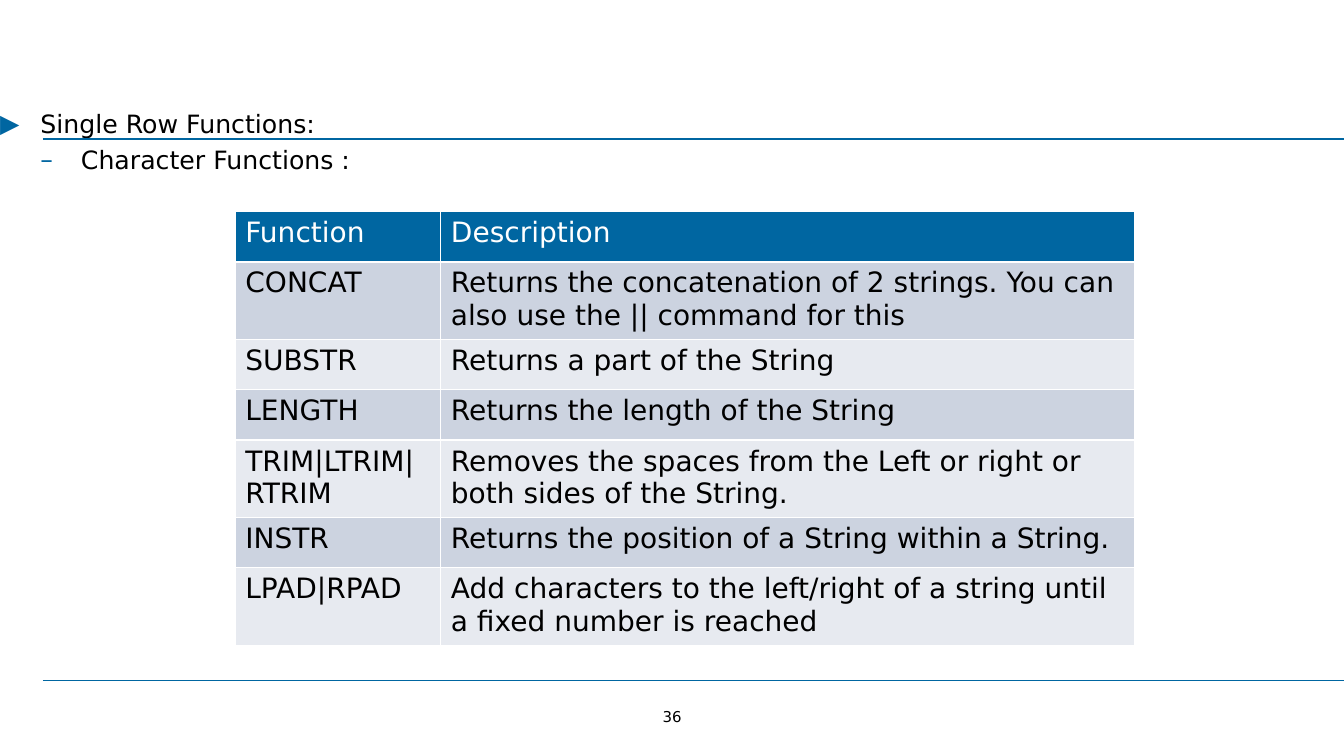
import pptx
import pptx.dml.color
import pptx.enum.shapes
import pptx.enum.text
import pptx.oxml
import pptx.oxml.ns
import pptx.util

Cm = pptx.util.Cm
Pt = pptx.util.Pt
RGBColor = pptx.dml.color.RGBColor
ALIGN = pptx.enum.text.PP_ALIGN
ANCHOR = pptx.enum.text.MSO_ANCHOR

BLUE = RGBColor(0x00, 0x66, 0xA1)
BLACK = RGBColor(0x00, 0x00, 0x00)
WHITE = RGBColor(0xFF, 0xFF, 0xFF)
BAND_DARK = RGBColor(0xCC, 0xD3, 0xE0)
BAND_LIGHT = RGBColor(0xE7, 0xEA, 0xF0)
FONT = "DejaVu Sans"


def add_text(p, text, size, color=BLACK, align=ALIGN.LEFT, after=0):
    p.alignment = align
    p.space_before = Pt(0)
    p.space_after = Pt(after)
    r = p.add_run()
    r.text = text
    r.font.name = FONT
    r.font.size = Pt(size)
    r.font.bold = False
    r.font.color.rgb = color


def add_bullet(p, char, indent):
    """Give a paragraph a blue bullet that hangs to the left of its text."""
    pPr = p._p.get_or_add_pPr()
    pPr.set("marL", str(indent * (p.level + 1)))
    pPr.set("indent", str(-indent))
    ns = pptx.oxml.ns.nsdecls("a")
    for xml in (
        f'<a:buClr {ns}><a:srgbClr val="{BLUE}"/></a:buClr>',
        f'<a:buFont {ns} typeface="{FONT}"/>',
        f'<a:buChar {ns} char="{char}"/>',
    ):
        pPr.append(pptx.oxml.parse_xml(xml))


prs = pptx.Presentation()
prs.slide_width = Cm(33.87)
prs.slide_height = Cm(19.05)
s = prs.slides.add_slide(prs.slide_layouts[1])
title = s.shapes.title
title._element.getparent().remove(title._element)

# Rules above and below the content
for y in (3.51, 17.15):
    rule = s.shapes.add_connector(
        pptx.enum.shapes.MSO_CONNECTOR.STRAIGHT, Cm(1.08), Cm(y), Cm(33.87), Cm(y))
    rule.line.color.rgb = BLUE
    rule.line.width = Pt(1.25)
    rule._element.spPr.append(
        pptx.oxml.parse_xml(f'<a:effectLst {pptx.oxml.ns.nsdecls("a")}/>'))

# Slide number
number = s.shapes.add_textbox(Cm(16.61), Cm(17.83), Cm(0.66), Cm(0.46))
tf = number.text_frame
tf.margin_left = tf.margin_top = tf.margin_right = tf.margin_bottom = 0
tf.word_wrap = False
tf.vertical_anchor = ANCHOR.MIDDLE
add_text(tf.paragraphs[0], "36", 10.7, align=ALIGN.CENTER)

# Outline
body = s.placeholders[1]
body.left, body.top, body.width, body.height = Cm(0), Cm(2.74), Cm(24.05), Cm(15.04)
tf = body.text_frame
tf.margin_left = tf.margin_top = tf.margin_right = tf.margin_bottom = 0
tf.auto_size = pptx.enum.text.MSO_AUTO_SIZE.NONE
tf.vertical_anchor = ANCHOR.TOP
outline = [("▶", "Single Row Functions:"), ("–", "Character Functions :")]
for level, (char, text) in enumerate(outline):
    p = tf.add_paragraph() if level else tf.paragraphs[0]
    p.level = level
    add_text(p, text, 18, after=4)
    add_bullet(p, char, Cm(1.02))

# Function table
functions = [
    ("Function", "Description"),
    ("CONCAT", "Returns the concatenation of 2 strings. You can also use the || command for this"),
    ("SUBSTR", "Returns a part of the String"),
    ("LENGTH", "Returns the length of the String"),
    ("TRIM|LTRIM|RTRIM", "Removes the spaces from the Left or right or both sides of the String."),
    ("INSTR", "Returns the position of a String within a String."),
    ("LPAD|RPAD", "Add characters to the left/right of a string until a fixed number is reached"),
]
row_height = Cm(1.27)
table = s.shapes.add_table(
    len(functions), 2, Cm(5.93), Cm(5.33), Cm(22.66), row_height * len(functions)).table
table.columns[0].width = Cm(5.18)
table.columns[1].width = Cm(17.48)
for i, row in enumerate(functions):
    table.rows[i].height = row_height
    band = BAND_DARK if i % 2 else BAND_LIGHT
    for j, text in enumerate(row):
        cell = table.cell(i, j)
        cell.fill.solid()
        cell.fill.fore_color.rgb = band if i else BLUE
        add_text(cell.text_frame.paragraphs[0], text, 20, color=BLACK if i else WHITE)

prs.save("out.pptx")
